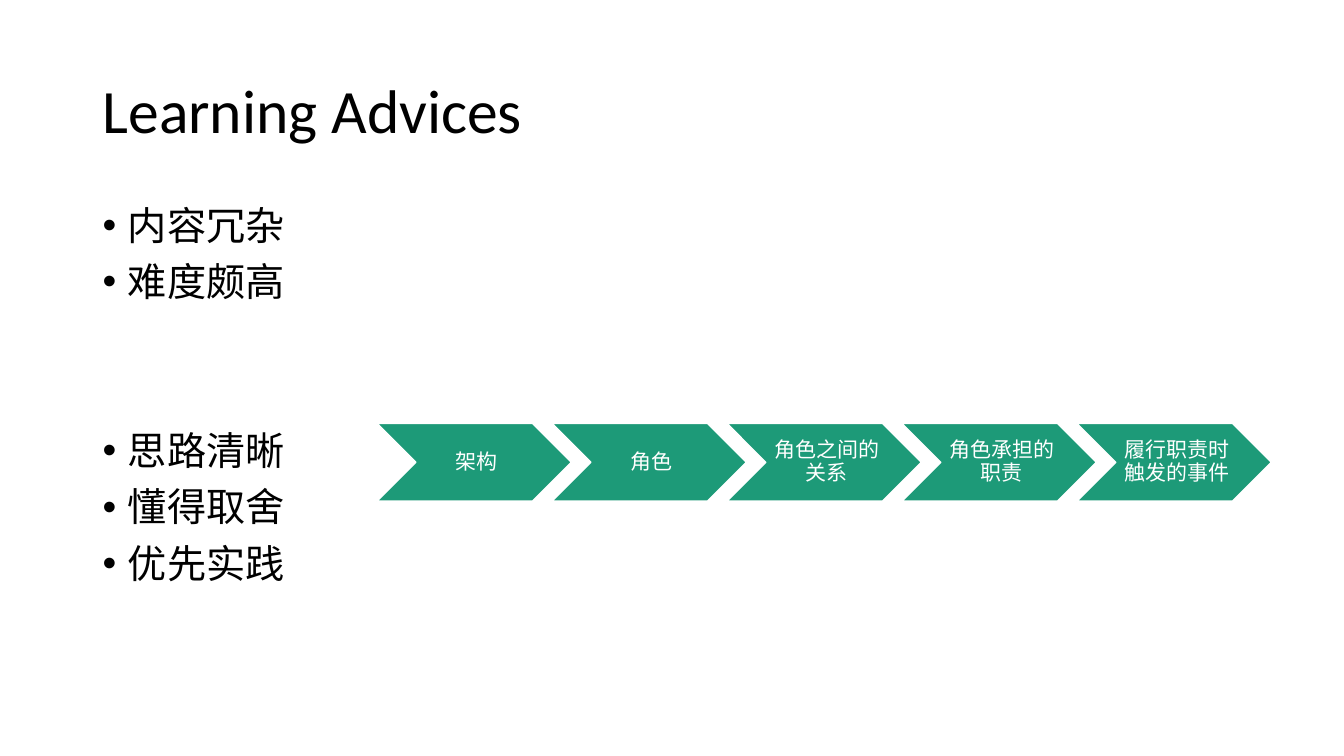
from dataclasses import dataclass

from pptx import Presentation
from pptx.dml.color import RGBColor
from pptx.enum.shapes import MSO_SHAPE
from pptx.enum.text import MSO_ANCHOR, MSO_AUTO_SIZE, PP_ALIGN
from pptx.util import Cm, Pt

TITLE = "Learning Advices"
CHALLENGES = ["内容冗杂", "难度颇高"]
ADVICES = ["思路清晰", "懂得取舍", "优先实践"]
STEPS = ["架构", "角色", "角色之间的关系", "角色承担的职责", "履行职责时触发的事件"]


@dataclass(frozen=True)
class Theme:
    font: str = "Calibri"
    ink: RGBColor = RGBColor(0x00, 0x00, 0x00)
    paper: RGBColor = RGBColor(0xFF, 0xFF, 0xFF)
    step: RGBColor = RGBColor(0x1D, 0x9A, 0x78)
    title_size: int = 44
    list_size: int = 28
    step_size: int = 15


THEME = Theme()

MARGIN, CONTENT_WIDTH = 2.33, 29.21
TITLE_BOX = (MARGIN, 1.02, CONTENT_WIDTH, 3.68)
LIST_BOX = (MARGIN, 5.07, CONTENT_WIDTH, 12.09)
LIST_INDENT = Cm(0.64)
ITEM_SPACE, GROUP_SPACE = 10, 90.5
STEP_LEFT, STEP_TOP, STEP_PITCH = 9.5, 10.67, 4.41
STEP_WIDTH, STEP_HEIGHT = 4.9, 1.96
STEP_INSETS = (0.18, 0.05, 0.05, 0.05)


def place(shape, box):
    shape.left, shape.top, shape.width, shape.height = map(Cm, box)


def write(paragraph, text, *, size, color=THEME.ink, align=PP_ALIGN.LEFT, before=0):
    paragraph.alignment = align
    paragraph.line_spacing = 0.9
    paragraph.space_before = Pt(before)
    run = paragraph.add_run()
    run.text = text
    run.font.name = THEME.font
    run.font.size = Pt(size)
    run.font.color.rgb = color


def add_title(slide):
    title = slide.shapes.title
    place(title, TITLE_BOX)
    frame = title.text_frame
    frame.auto_size = MSO_AUTO_SIZE.NONE
    frame.vertical_anchor = MSO_ANCHOR.MIDDLE
    write(frame.paragraphs[0], TITLE, size=THEME.title_size)


def add_advice_list(slide):
    """Fill the body with both groups, set apart by a wide space."""
    body = slide.placeholders[1]
    place(body, LIST_BOX)
    frame = body.text_frame
    frame.auto_size = MSO_AUTO_SIZE.NONE
    for index, item in enumerate(CHALLENGES + ADVICES):
        paragraph = frame.add_paragraph() if index else frame.paragraphs[0]
        before = GROUP_SPACE if index == len(CHALLENGES) else ITEM_SPACE
        write(paragraph, item, size=THEME.list_size, before=before)
        properties = paragraph._p.get_or_add_pPr()
        properties.set("marL", str(LIST_INDENT))
        properties.set("indent", str(-LIST_INDENT))


def add_step(slide, index, text):
    left = STEP_LEFT + index * STEP_PITCH
    box = map(Cm, (left, STEP_TOP, STEP_WIDTH, STEP_HEIGHT))
    chevron = slide.shapes.add_shape(MSO_SHAPE.CHEVRON, *box)
    chevron.shadow.inherit = False
    chevron.fill.solid()
    chevron.fill.fore_color.rgb = THEME.step
    chevron.line.color.rgb = THEME.paper
    chevron.line.width = Pt(1)
    frame = chevron.text_frame
    frame.word_wrap = True
    frame.vertical_anchor = MSO_ANCHOR.MIDDLE
    (frame.margin_left, frame.margin_top,
     frame.margin_right, frame.margin_bottom) = map(Cm, STEP_INSETS)
    write(frame.paragraphs[0], text, size=THEME.step_size,
          color=THEME.paper, align=PP_ALIGN.CENTER)


def main():
    presentation = Presentation()
    presentation.slide_width, presentation.slide_height = Cm(33.87), Cm(19.05)
    slide = presentation.slides.add_slide(presentation.slide_layouts[1])
    add_title(slide)
    add_advice_list(slide)
    for index, text in enumerate(STEPS):
        add_step(slide, index, text)
    presentation.save("out.pptx")


if __name__ == "__main__":
    main()
